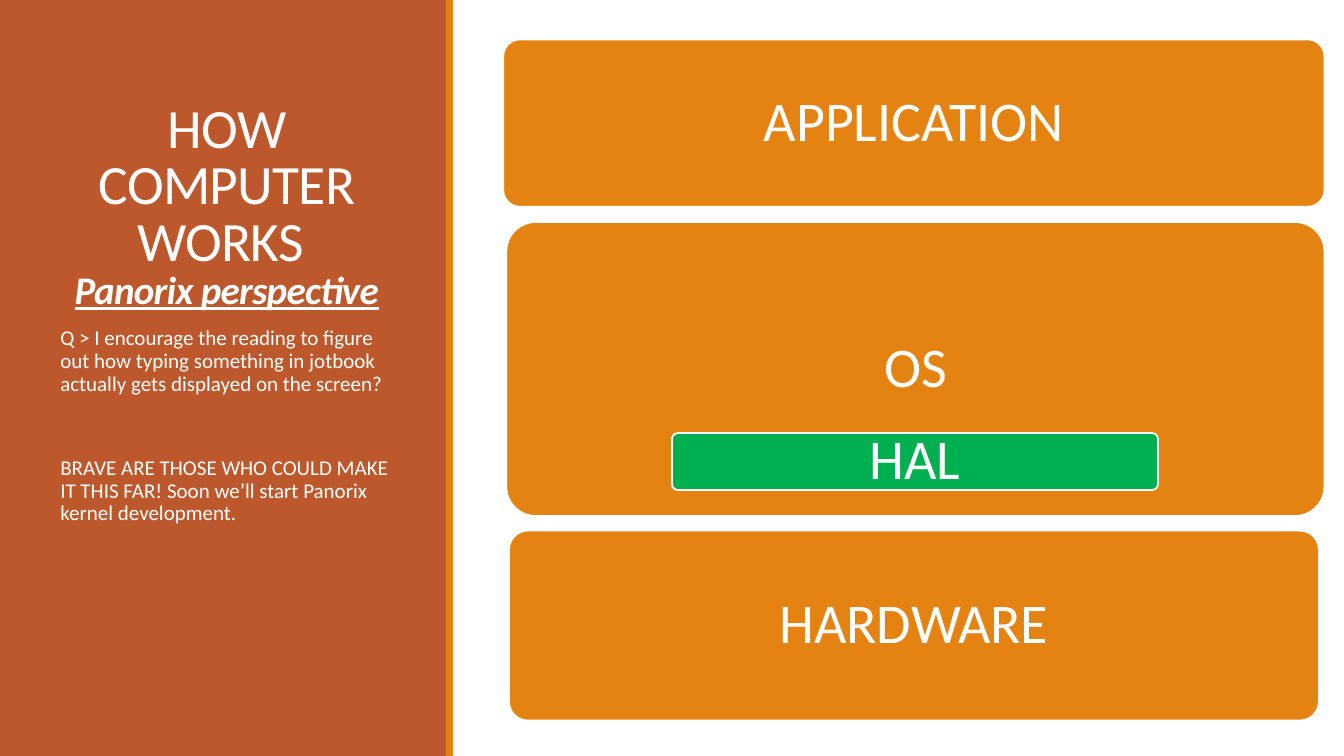
from dataclasses import dataclass

from pptx import Presentation
from pptx.dml.color import RGBColor as Rgb
from pptx.enum.shapes import MSO_SHAPE as Kind
from pptx.enum.text import MSO_ANCHOR as Anchor, PP_ALIGN as Align
from pptx.shapes.autoshape import Shape
from pptx.slide import Slide
from pptx.text.text import TextFrame, _Paragraph as Para, _Run as Run
from pptx.util import Pt


@dataclass(frozen=True)
class Theme:
    font: str = "Calibri"
    white: Rgb = Rgb(0xFF, 0xFF, 0xFF)
    rust: Rgb = Rgb(0xBD, 0x58, 0x2C)
    orange: Rgb = Rgb(0xE4, 0x83, 0x12)
    green: Rgb = Rgb(0x00, 0xB0, 0x50)
    title: float = 39.6
    sub: float = 27.9
    body: float = 15
    label: float = 40


@dataclass(frozen=True)
class Box:
    left: float
    top: float
    width: float
    height: float


@dataclass(frozen=True)
class Layer:
    name: str
    box: Box
    fill: Rgb


@dataclass(frozen=True)
class Note:
    text: str
    before: float


LOOK = Theme()
PANELS = (
    Layer("", Box(0, 0, 319, 540), LOOK.rust),
    Layer("", Box(318.5, 0, 5, 540), LOOK.orange),
)
LAYERS = (
    Layer("APPLICATION", Box(359.5, 28.2, 586.6, 119.5), LOOK.orange),
    Layer("OS", Box(361.7, 158.6, 584.4, 210), LOOK.orange),
    Layer("HAL", Box(480, 309.4, 347.2, 40.6), LOOK.green),
    Layer("HARDWARE", Box(363.6, 379, 578.5, 135.7), LOOK.orange),
)
NOTES = (
    Note("Q > I encourage the reading to figure out how typing something "
         "in jotbook actually gets displayed on the screen?", 12),
    Note("BRAVE ARE THOSE WHO COULD MAKE IT THIS FAR! Soon we’ll start "
         "Panorix kernel development.", 42),
)


def add_run(para: Para, text: str, size: float) -> Run:
    run = para.add_run()
    run.text = text
    run.font.name = LOOK.font
    run.font.size = Pt(size)
    run.font.color.rgb = LOOK.white
    return run


def add_form(slide: Slide, kind: Kind, box: Box, fill: Rgb) -> Shape:
    form = slide.shapes.add_shape(
        kind, Pt(box.left), Pt(box.top), Pt(box.width), Pt(box.height))
    form.shadow.inherit = False
    form.fill.solid()
    form.fill.fore_color.rgb = fill
    return form


def add_panel(slide: Slide, panel: Layer) -> None:
    form = add_form(slide, Kind.RECTANGLE, panel.box, panel.fill)
    form.line.fill.background()


def add_layer(slide: Slide, layer: Layer) -> None:
    form = add_form(slide, Kind.ROUNDED_RECTANGLE, layer.box, layer.fill)
    form.adjustments[0] = 0.1
    form.line.color.rgb = LOOK.white
    form.line.width = Pt(1.25)
    frame = form.text_frame
    frame.margin_top = frame.margin_bottom = Pt(0)
    frame.vertical_anchor = Anchor.MIDDLE
    para = frame.paragraphs[0]
    para.alignment = Align.CENTER
    para.line_spacing = 0.9
    add_run(para, layer.name, LOOK.label)


def add_frame(slide: Slide, box: Box, anchor: Anchor) -> TextFrame:
    frame = slide.shapes.add_textbox(
        Pt(box.left), Pt(box.top), Pt(box.width), Pt(box.height)).text_frame
    frame.word_wrap = True
    frame.vertical_anchor = anchor
    return frame


def add_title(slide: Slide) -> None:
    frame = add_frame(slide, Box(36, 46.8, 252, 180), Anchor.BOTTOM)
    para = frame.paragraphs[0]
    para.alignment = Align.CENTER
    para.line_spacing = 0.85
    head = add_run(para, "HOW COMPUTER WORKS ", LOOK.title)
    para.add_line_break()
    sub = add_run(para, "Panorix perspective", LOOK.sub)
    sub.font.bold = sub.font.italic = sub.font.underline = True
    for run in (head, sub):
        run._r.get_or_add_rPr().set("spc", "-50")


def add_notes(slide: Slide) -> None:
    frame = add_frame(slide, Box(36, 230.4, 252, 266.4), Anchor.TOP)
    for rank, note in enumerate(NOTES):
        para = frame.add_paragraph() if rank else frame.paragraphs[0]
        para.alignment = Align.LEFT
        para.line_spacing = 0.9
        para.space_before = Pt(note.before)
        para.space_after = Pt(2)
        add_run(para, note.text, LOOK.body)


def main() -> None:
    deck = Presentation()
    deck.slide_width, deck.slide_height = Pt(960), Pt(540)
    slide = deck.slides.add_slide(deck.slide_layouts[6])
    for panel in PANELS:
        add_panel(slide, panel)
    add_title(slide)
    add_notes(slide)
    for layer in LAYERS:
        add_layer(slide, layer)
    deck.save("out.pptx")


if __name__ == "__main__":
    main()
